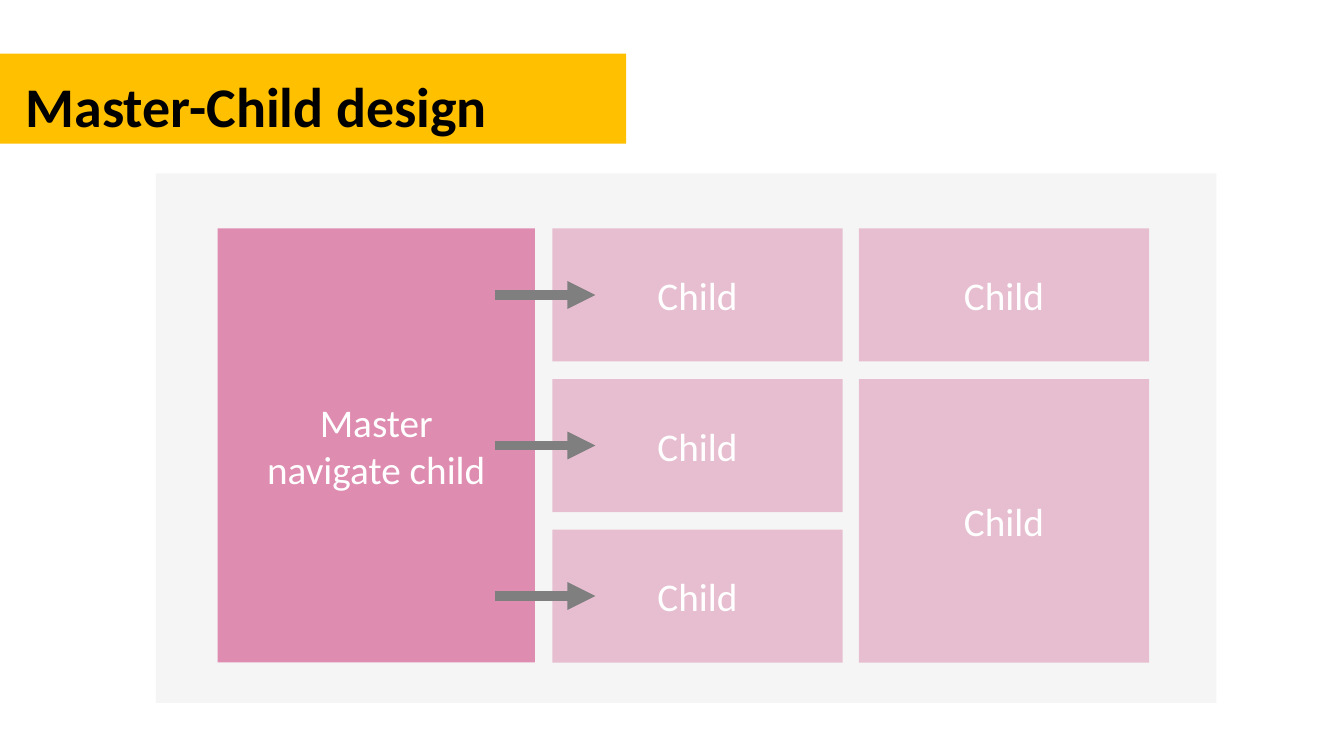
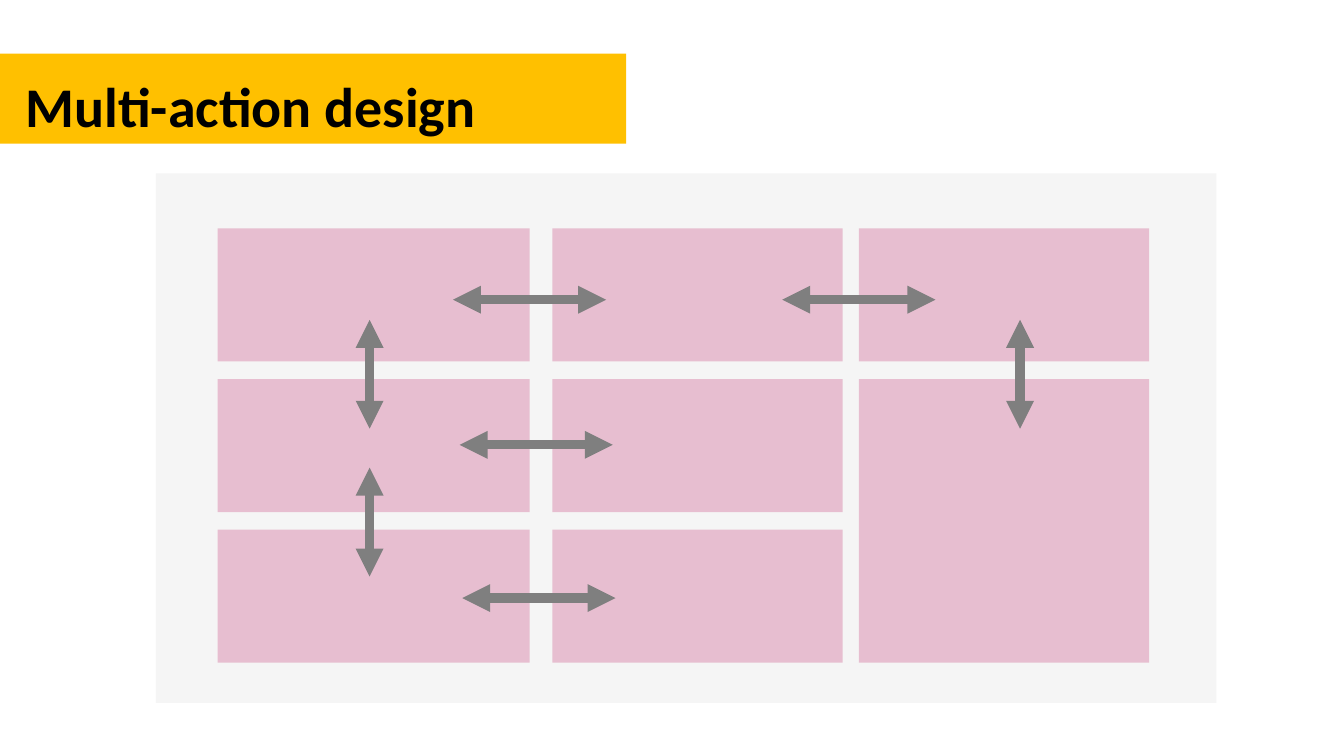
import dataclasses

import lxml.etree
import pptx
import pptx.dml.color
import pptx.enum.shapes
import pptx.enum.text
import pptx.oxml.ns
import pptx.util

Inches = pptx.util.Inches


@dataclasses.dataclass(frozen=True)
class Theme:
    font: str = "Calibri"
    title_size: int = 30
    tile_size: int = 21
    arrow_width: int = 5
    title_text: str = "000000"
    tile_text: str = "FFFFFF"
    band: str = "FFC000"
    board: str = "F5F5F5"
    master: str = "DE8CB0"
    child: str = "E7BED0"
    arrow: str = "7F7F7F"


@dataclasses.dataclass(frozen=True)
class Box:
    left: float
    top: float
    width: float
    height: float

    def inner(self, left, top, width, height):
        return Box(self.left + left, self.top + top, width, height)

    def lengths(self):
        return [Inches(side) for side in dataclasses.astuple(self)]


THEME = Theme()
SLIDE_WIDTH = 10
SLIDE_HEIGHT = SLIDE_WIDTH * 9 / 16
BAND = Box(0, 0.4, 4.66, 0.67)
BOARD = Box(1.16, 1.29, 7.89, 3.94)

MARGIN_LEFT, MARGIN_TOP = 0.46, 0.41
MIDDLE_LEFT, CHILD_WIDTH, COLUMN_GAP = 2.95, 2.16, 0.12
RIGHT_LEFT = MIDDLE_LEFT + CHILD_WIDTH + COLUMN_GAP
ROW_HEIGHT, ROW_GAP = 0.99, 0.13
ROW_TOPS = [MARGIN_TOP + row * (ROW_HEIGHT + ROW_GAP) for row in range(3)]


def rows_height(count):
    return count * ROW_HEIGHT + (count - 1) * ROW_GAP


def color(value):
    return pptx.dml.color.RGBColor.from_string(value)


def format_text(frame, size, text_color, alignment, anchor, bold=False):
    frame.word_wrap = True
    frame.vertical_anchor = anchor
    frame.margin_left = frame.margin_right = Inches(0.07)
    frame.margin_top = frame.margin_bottom = Inches(0.04)
    for paragraph in frame.paragraphs:
        paragraph.alignment = alignment
        for run in paragraph.runs:
            run.font.name = THEME.font
            run.font.size = pptx.util.Pt(size)
            run.font.bold = bold
            run.font.color.rgb = color(text_color)


def add_tile(slide, box, fill, label=""):
    tile = slide.shapes.add_shape(
        pptx.enum.shapes.MSO_SHAPE.RECTANGLE, *box.lengths())
    tile.shadow.inherit = False
    tile.fill.solid()
    tile.fill.fore_color.rgb = color(fill)
    tile.line.fill.background()
    if label:
        tile.text_frame.text = label
        format_text(tile.text_frame, THEME.tile_size, THEME.tile_text,
                    pptx.enum.text.PP_ALIGN.CENTER,
                    pptx.enum.text.MSO_ANCHOR.MIDDLE)
    return tile


def add_arrow(slide, board, left, top, across=0, down=0, ends=("tailEnd",)):
    start = board.inner(left, top, across, down)
    arrow = slide.shapes.add_connector(
        pptx.enum.shapes.MSO_CONNECTOR.STRAIGHT,
        Inches(start.left), Inches(start.top),
        Inches(start.left + across), Inches(start.top + down))
    arrow.line.color.rgb = color(THEME.arrow)
    arrow.line.width = pptx.util.Pt(THEME.arrow_width)
    properties = arrow._element.spPr
    outline = properties.find(pptx.oxml.ns.qn("a:ln"))
    for end in ends:
        lxml.etree.SubElement(
            outline, pptx.oxml.ns.qn("a:" + end), type="triangle")
    lxml.etree.SubElement(properties, pptx.oxml.ns.qn("a:effectLst"))


def add_double_arrow(slide, board, left, top, across=0, down=0):
    add_arrow(slide, board, left, top, across, down, ("headEnd", "tailEnd"))


def add_title(slide, box, text):
    title = slide.shapes.title
    place = box.inner(0.12, 0.09, box.width, 0.58)
    title.left, title.top, title.width, title.height = place.lengths()
    title.text_frame.text = text
    format_text(title.text_frame, THEME.title_size, THEME.title_text,
                pptx.enum.text.PP_ALIGN.LEFT,
                pptx.enum.text.MSO_ANCHOR.TOP, bold=True)
    title.text_frame.auto_size = pptx.enum.text.MSO_AUTO_SIZE.SHAPE_TO_FIT_TEXT
    band = add_tile(slide, box, THEME.band)
    title._element.addprevious(band._element)


def add_children(slide, board, label=""):
    for top in ROW_TOPS:
        add_tile(slide, board.inner(MIDDLE_LEFT, top, CHILD_WIDTH, ROW_HEIGHT),
                 THEME.child, label)
    for top, rows in ((ROW_TOPS[0], 1), (ROW_TOPS[1], 2)):
        add_tile(slide,
                 board.inner(RIGHT_LEFT, top, CHILD_WIDTH, rows_height(rows)),
                 THEME.child, label)


def add_design_slide(presentation, title):
    slide = presentation.slides.add_slide(presentation.slide_layouts[5])
    add_title(slide, BAND, title)
    add_tile(slide, BOARD, THEME.board)
    return slide


def add_master_child_board(slide, board):
    add_tile(slide, board.inner(MARGIN_LEFT, MARGIN_TOP, 2.36, rows_height(3)),
             THEME.master, "Master\nnavigate child")
    add_children(slide, board, "Child")
    for top in ROW_TOPS:
        add_arrow(slide, board, 2.52, top + ROW_HEIGHT / 2, across=0.75)


def add_multi_action_board(slide, board):
    for top in ROW_TOPS:
        add_tile(slide, board.inner(MARGIN_LEFT, top, 2.32, ROW_HEIGHT),
                 THEME.child)
    add_children(slide, board)
    for left, top in ((2.21, 0.94), (2.26, 2.02), (2.28, 3.16), (4.66, 0.94)):
        add_double_arrow(slide, board, left, top, across=1.14)
    for left, top in ((1.59, 1.09), (1.59, 2.19), (6.43, 1.09)):
        add_double_arrow(slide, board, left, top, down=0.81)


def main():
    presentation = pptx.Presentation()
    presentation.slide_width = Inches(SLIDE_WIDTH)
    presentation.slide_height = Inches(SLIDE_HEIGHT)
    add_master_child_board(
        add_design_slide(presentation, "Master-Child design"), BOARD)
    add_multi_action_board(
        add_design_slide(presentation, "Multi-action design"), BOARD)
    presentation.save("out.pptx")


if __name__ == "__main__":
    main()
